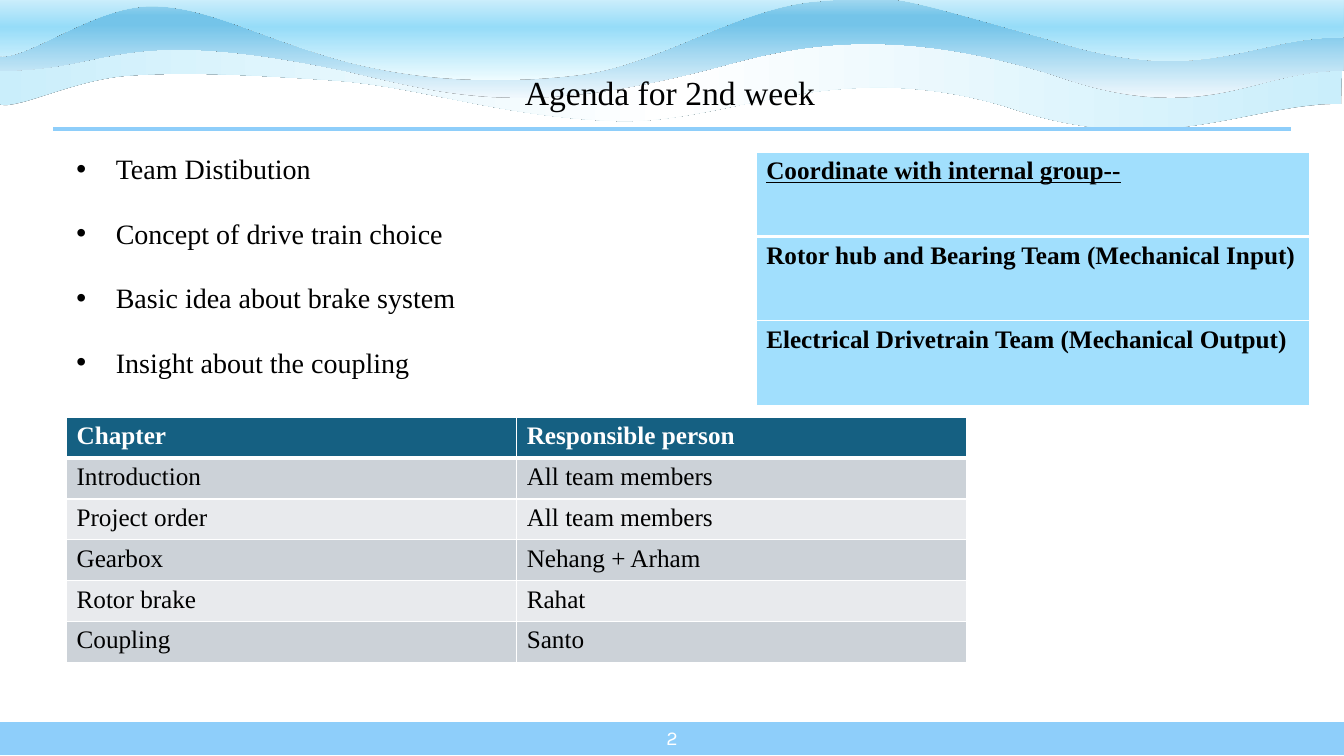
from lxml import etree
from pptx import Presentation, util as u
from pptx.dml.color import RGBColor
from pptx.enum import shapes, text
from pptx.oxml import parse_xml
from pptx.oxml.ns import nsdecls, qn

# Content
TITLE = "Agenda for 2nd week"
PAGE = "2"
TOPICS = ["Team Distibution", "Concept of drive train choice",
          "Basic idea about brake system", "Insight about the coupling"]
DUTIES = [("Chapter", "Responsible person"),
          ("Introduction", "All team members"),
          ("Project order", "All team members"),
          ("Gearbox", "Nehang + Arham"),
          ("Rotor brake", "Rahat"),
          ("Coupling", "Santo")]
GROUPS = [("Coordinate with internal group--",),
          ("Rotor hub and Bearing Team (Mechanical Input)",),
          ("Electrical Drivetrain Team (Mechanical Output)",)]

# Waves: box, crest (start, then three points per curve), flat edge,
# gradient stops, gradient angle
WAVES = [
    ((-0.04, 0.3, 13.36, 0.98),
     [(13.3, 1.03), (12.37, 1.02), (11.52, 1.59), (9.99, 1.06),
      (8.27, 0.54), (7.21, 1.24), (6.1, 1.2), (4.99, 1.16), (4.21, 0.87),
      (3.35, 0.8), (2.49, 0.74), (1.83, 0.71), (1.27, 0.75),
      (0.71, 0.79), (0.14, 1.11), (-0.02, 1.03)],
     [(-0.04, 0.3), (3.13, 0.31), (6.52, 0.34), (9.41, 0.32), (13.32, 0.34)],
     [(0, "CAEEFB"), (50, "FFFFFF"), (100, "CAEEFB")], 0),
    ((0, -0.01, 13.33, 0.98),
     [(13.32, 0.7), (12.39, 0.7), (11.96, 1.28), (10.44, 0.74),
      (8.71, 0.2), (7.73, 0.5), (7.06, 0.68), (5.28, 1.14), (4.59, 0.98),
      (3.46, 0.71), (1.13, 0.22), (1.15, 0.7), (0, 0.7)],
     [(0.01, 0), (3.13, 0.01), (6.54, -0.01), (9.46, 0), (13.33, 0.04)],
     [(0, "F0F8FD"), (74, "74C4E9"), (83, "74C4E9"), (100, "A2D8F0")], 90),
    ((-0.03, -0.26, 13.36, 1.06),
     [(13.32, 0.37), (12.39, 0.36), (11.96, 0.88), (10.44, 0.4),
      (8.72, -0.08), (8.91, -0.05), (8.13, 0.01), (7.35, 0.06), (6.53, 0.64),
      (5.76, 0.74), (4.98, 0.84), (4.24, 0.81), (3.47, 0.62),
      (2.58, 0.38), (2.07, 0.06), (1.5, 0.06),
      (0.92, 0.06), (0.22, 0.63), (-0.03, 0.55)],
     [(0.01, -0.25), (3.13, -0.24), (6.54, -0.26), (9.46, -0.25),
      (13.33, -0.22)],
     [(0, "EFFCFF"), (50, "96DCF8"), (100, "FFFFFF")], 90),
]

SERIF, SANS = "Times New Roman", "Karla"
BLACK, WHITE = RGBColor(0, 0, 0), RGBColor(255, 255, 255)
SKY, PALE = RGBColor(0x8E, 0xCE, 0xFA), RGBColor(0xA1, 0xDF, 0xFD)
TEAL = RGBColor(0x15, 0x60, 0x82)
BANDS = RGBColor(0xCC, 0xD2, 0xD8), RGBColor(0xE8, 0xEA, 0xED)

deck = Presentation()
deck.slide_width, deck.slide_height = u.Inches(13.33), u.Inches(7.5)
slide = deck.slides.add_slide(deck.slide_layouts[6])
parts = slide.shapes


def inch(*vals):
    return [u.Inches(v) for v in vals]


def add_run(para, words, size, color=BLACK, face=SERIF, bold=False, under=False):
    run = para.add_run()
    run.text = words
    font = run.font
    font.size, font.name, font.bold = u.Pt(size), face, bold
    font.color.rgb = color
    if under:
        font.underline = True


def add_box(*place, anchor=text.MSO_ANCHOR.MIDDLE):
    frame = parts.add_textbox(*inch(*place)).text_frame
    frame.word_wrap = True
    frame.vertical_anchor = anchor
    return frame


def add_wave(box, crest, edge, stops, angle):
    left, top, width, height = box
    # Half-turn the points inside the box, since the shape is turned back
    crest, edge = [[inch(left + width - x, top + height - y) for x, y in row]
                   for row in (crest, edge)]
    pen = parts.build_freeform(*crest[0], scale=1.0)
    pen.add_line_segments(crest[3::3] + edge, close=True)
    wave = pen.convert_to_shape()
    wave.left, wave.top, wave.width, wave.height = inch(*box)
    wave.rotation = 180

    # Bend the crest into cubic curves
    steps = [("moveTo", crest[:1])]
    steps += [("cubicBezTo", crest[i:i + 3]) for i in range(1, len(crest), 3)]
    steps += [("lnTo", [pt]) for pt in edge] + [("close", [])]
    outline = next(wave._element.iter(qn("a:path")))
    outline.clear()
    outline.set("w", str(wave.width))
    outline.set("h", str(wave.height))
    for kind, pts in steps:
        step = etree.SubElement(outline, qn("a:" + kind))
        for x, y in pts:
            etree.SubElement(step, qn("a:pt"), x=str(x), y=str(y))

    # Gradient and hairline shadow
    wave.line.fill.background()
    wave.shadow.inherit = False
    props = wave._element.spPr
    marks = "".join(f'<a:gs pos="{pos * 1000}"><a:srgbClr val="{color}"/></a:gs>'
                    for pos, color in stops)
    props.find(qn("a:custGeom")).addnext(parse_xml(
        f'<a:gradFill {nsdecls("a")} rotWithShape="1"><a:gsLst>{marks}</a:gsLst>'
        f'<a:lin ang="{angle * 60000}" scaled="0"/></a:gradFill>'))
    props.find(qn("a:effectLst")).append(parse_xml(
        f'<a:outerShdw {nsdecls("a")} blurRad="0" dist="0" dir="0">'
        f'<a:srgbClr val="{BLACK}"/></a:outerShdw>'))


def add_grid(rows, left, top, width, height, style):
    cols = len(rows[0])
    grid = parts.add_table(len(rows), cols, *inch(left, top, width, height)).table
    for col in grid.columns:
        col.width = u.Inches(width / cols)
    for r, row in enumerate(rows):
        grid.rows[r].height = u.Inches(height / len(rows))
        fill, look = style(r)
        for c, words in enumerate(row):
            cell = grid.cell(r, c)
            add_run(cell.text_frame.paragraphs[0], words, 18, **look)
            props = cell._tc.get_or_add_tcPr()
            for side in "LRTB":
                wide = 3 if r == 0 and side == "B" else 1
                props.append(parse_xml(
                    f'<a:ln{side} {nsdecls("a")} w="{u.Pt(wide)}"><a:solidFill>'
                    f'<a:srgbClr val="{WHITE}"/></a:solidFill></a:ln{side}>'))
            cell.fill.solid()
            cell.fill.fore_color.rgb = fill


def duty_style(r):
    if r == 0:
        return TEAL, dict(color=WHITE, bold=True)
    return BANDS[(r - 1) % 2], {}


def group_style(r):
    return PALE, dict(bold=True, under=r == 0)


# Header waves
for wave in WAVES:
    add_wave(*wave)

# Footer bar and page number
bar = parts.add_shape(shapes.MSO_SHAPE.RECTANGLE, *inch(-0.01, 7.15, 13.35, 0.35))
bar.shadow.inherit = False
bar.fill.solid()
bar.fill.fore_color.rgb = SKY
bar.line.color.rgb, bar.line.width = WHITE, u.Pt(1.5)
para = add_box(6.51, 7.12, 0.31, 0.4).paragraphs[0]
para.alignment = text.PP_ALIGN.RIGHT
add_run(para, PAGE, 14, WHITE, SANS)

# Title and rule
para = add_box(0.53, 0.55, 12.23, 0.78).paragraphs[0]
para.alignment, para.line_spacing = text.PP_ALIGN.CENTER, 0.9
add_run(para, TITLE, 24)
rule = parts.add_connector(shapes.MSO_CONNECTOR.STRAIGHT,
                           *inch(0.53, 1.28, 12.8, 1.28))
rule.line.color.rgb, rule.line.width = SKY, u.Pt(3)
etree.SubElement(rule._element.spPr, qn("a:effectLst"))

# Topic bullets
frame = add_box(0.66, 1.29, 5.37, 2.88, anchor=text.MSO_ANCHOR.TOP)
for i, topic in enumerate(TOPICS):
    para = frame.add_paragraph() if i else frame.paragraphs[0]
    para.line_spacing = 1.5
    if i:
        para.space_before = u.Pt(10)
    props = para._p.get_or_add_pPr()
    hang = u.Inches(0.39)
    props.set("marL", str(hang))
    props.set("indent", str(-hang))
    etree.SubElement(props, qn("a:buFont"), typeface="Arial")
    etree.SubElement(props, qn("a:buChar"), char="•")
    add_run(para, topic, 20)

# Tables
add_grid(DUTIES, 0.66, 4.14, 8.93, 2.43, duty_style)
add_grid(GROUPS, 7.5, 1.51, 5.49, 2.51, group_style)

deck.save("out.pptx")
